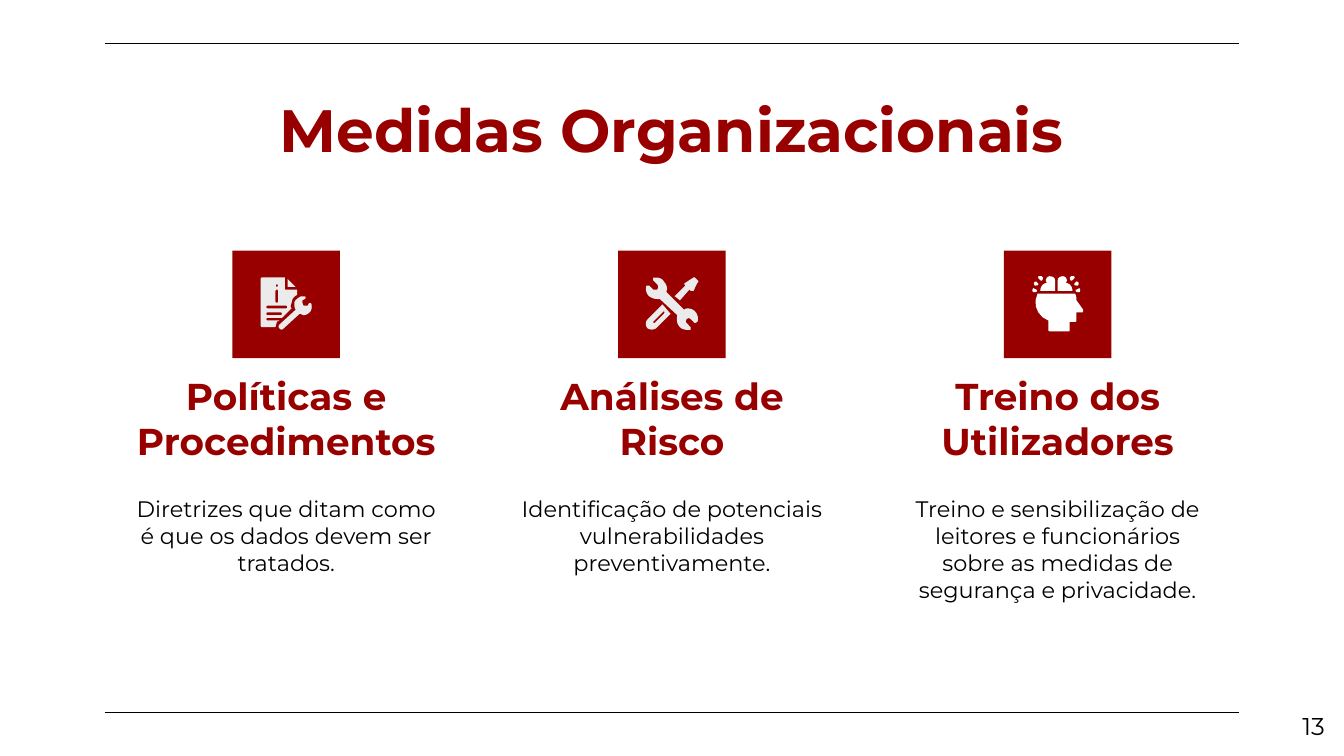
"""Builds the slide on organisational measures: a title and three icon columns."""
from pptx import Presentation
from pptx.dml.color import RGBColor
from pptx.enum.shapes import MSO_CONNECTOR, MSO_SHAPE
from pptx.enum.text import MSO_ANCHOR, PP_ALIGN
from pptx.oxml.ns import qn
from pptx.util import Pt

PX = 4572
INSET = 20 * PX
FONT = "Montserrat"
RED = RGBColor(0x98, 0x00, 0x00)
BLACK = RGBColor(0x00, 0x00, 0x00)
WHITE = RGBColor(0xFF, 0xFF, 0xFF)
PALE = RGBColor(0xEB, 0xEB, 0xEB)

TILE = 160
ICON_UNIT = 2
CURVE_STEPS = 5
COLUMN_WIDTH, COLUMN_PITCH = 504, 574

DOCUMENT_AND_WRENCH = [
    "M 52 34 L 51 34 C 49 35 46 37 46 39 C 46 41 46 42 47 44 L 35 55 C 34 56 34 57 35 58 "
    "C 36 59 37 59 38 58 L 50 47 C 51 47 52 48 53 48 L 54 48 C 57 47 59 45 59 42 "
    "C 59 41 59 39 58 39 L 57 39 L 56 41 C 55 41 54 41 53 41 C 52 40 52 38 52 37 "
    "L 54 36 C 54 36 55 35 54 34 C 53 34 53 34 52 34",
    "M 41 21 L 41 27 L 47 27",
    "M 33 25 C 34 25 34 27 33 27 C 32 27 32 25 33 25 "
    "M 33 29 C 34 29 34 30 34 31 L 34 38 C 34 39 32 39 32 38 L 32 31 C 32 30 32 29 33 29 "
    "M 40 41 C 41 41 41 43 40 43 L 26 43 C 25 43 25 41 26 41 "
    "M 36 46 C 37 46 37 48 36 48 L 26 48 C 25 48 25 46 26 46 "
    "M 22 20 C 21 20 21 21 21 21 L 21 55 C 21 56 21 57 22 57 L 32 57 C 32 56 33 54 33 53 "
    "L 35 52 L 26 52 C 25 52 25 50 26 50 L 37 50 L 44 43 C 43 42 43 41 44 39 "
    "C 44 36 46 34 48 33 L 48 29 L 40 29 C 39 29 39 29 39 28 L 39 20",
]
CROSSED_TOOLS = [
    "M 28 20 L 26 20 L 26 22 L 29 25 C 30 26 30 28 29 29 C 28 29 27 29 26 29 L 23 26 L 21 26 "
    "C 20 29 21 32 23 34 C 25 35 26 36 29 36 L 31 36 L 44 48 C 43 52 44 55 46 57 "
    "C 47 58 49 59 52 59 L 54 59 L 54 57 L 51 54 C 50 53 50 52 51 51 C 52 50 53 50 54 51 "
    "L 57 54 L 59 53 C 60 50 59 47 57 45 C 56 44 54 43 52 43 C 51 43 50 43 49 44 "
    "L 36 31 L 36 30 C 37 28 36 25 34 23 C 33 21 31 20 28 20",
    "M 34 45 C 34 45 35 46 34 47 L 27 54 C 26 54 26 53 26 53 L 33 46 "
    "M 33 40 L 22 51 C 20 53 20 56 22 58 C 24 59 26 59 28 58 L 39 47",
    "M 57 20 L 56 20 L 50 24 C 49 24 49 25 50 26 L 42 34 L 46 37 L 53 29 L 54 30 "
    "C 55 30 55 30 56 30 L 59 24 C 60 23 60 23 59 22",
]
HEAD = [
    "M 25 32 C 21 40 25 49 33 52 L 33 59 C 33 60 34 60 34 60 L 48 60 C 49 60 49 60 49 59 "
    "L 49 53 L 53 53 C 54 53 54 52 54 52 L 54 46 L 58 46 C 59 46 59 45 59 44 L 54 37 "
    "C 54 36 54 34 53 32",
]
HALF_BRAIN = [
    "M 34 19 C 32 19 30 22 32 24 C 29 24 27 27 27 30 L 38 30 L 38 22 C 38 20 36 19 34 19",
    "M 27 19 C 25 19 25 20 26 21 L 27 22 C 28 23 29 22 29 20 L 28 19",
    "M 24 23 C 22 23 22 25 23 26 L 24 26 C 26 26 26 25 25 24",
    "M 22 28 C 21 28 21 31 22 31 L 23 31 C 25 31 25 29 24 29",
]
BRAIN_AXIS = 39

MEASURES = [
    ("Políticas e Procedimentos",
     "Diretrizes que ditam como é que os dados devem ser tratados.",
     DOCUMENT_AND_WRENCH, [], PALE),
    ("Análises de Risco",
     "Identificação de potenciais vulnerabilidades preventivamente.",
     CROSSED_TOOLS, [], PALE),
    ("Treino dos Utilizadores",
     "Treino e sensibilização de leitores e funcionários sobre as medidas de segurança "
     "e privacidade.",
     HEAD + HALF_BRAIN, HALF_BRAIN, WHITE),
]


def add_text(slide, text, box, size, color=BLACK, bold=False,
             align=PP_ALIGN.CENTER, anchor=MSO_ANCHOR.TOP):
    """Place one formatted paragraph in a px box."""
    frame = slide.shapes.add_textbox(*(length * PX for length in box)).text_frame
    frame.word_wrap = True
    frame.vertical_anchor = anchor
    frame.margin_left = frame.margin_right = INSET
    frame.margin_top = frame.margin_bottom = INSET
    paragraph = frame.paragraphs[0]
    paragraph.alignment = align
    run = paragraph.add_run()
    run.text = text
    run.font.name = FONT
    run.font.size = Pt(size)
    run.font.bold = bold
    run.font.color.rgb = color


def add_rule(slide, left, right, y):
    """Draw a thin horizontal rule."""
    rule = slide.shapes.add_connector(
        MSO_CONNECTOR.STRAIGHT, left * PX, y * PX, right * PX, y * PX)
    rule.line.color.rgb = BLACK
    rule.line.width = Pt(0.75)
    properties = rule._element.spPr
    properties.append(properties.makeelement(qn("a:effectLst"), {}))


def paint(shape, color):
    """Give a shape a flat fill without line or shadow."""
    shape.shadow.inherit = False
    shape.fill.solid()
    shape.fill.fore_color.rgb = color
    shape.line.fill.background()


def curve_points(controls):
    """Return points along a cubic curve, leaving out its start."""
    points = []
    for step in range(1, CURVE_STEPS + 1):
        t = step / CURVE_STEPS
        weights = ((1 - t) ** 3, 3 * t * (1 - t) ** 2, 3 * t * t * (1 - t), t ** 3)
        points.append(tuple(sum(w * point[axis] for w, point in zip(weights, controls))
                            for axis in (0, 1)))
    return points


def contours_of(outline):
    """Turn an outline of M, L and C commands into lists of points."""
    contours = []
    tokens = iter(outline.split())
    for command in tokens:
        count = 3 if command == "C" else 1
        points = [(int(next(tokens)), int(next(tokens))) for _ in range(count)]
        if command == "M":
            contours.append(points)
        elif command == "L":
            contours[-1] += points
        else:
            contours[-1] += curve_points([contours[-1][-1]] + points)
    return contours


def add_outline(group, outline, left, top, color, mirrored=False):
    """Draw one icon part, mirrored about the brain axis on request."""
    contours = [[(round((left + ICON_UNIT * (2 * BRAIN_AXIS - x if mirrored else x)) * PX),
                  round((top + ICON_UNIT * y) * PX)) for x, y in contour]
                for contour in contours_of(outline)]
    builder = group.shapes.build_freeform(*contours[0][0])
    for contour in contours:
        builder.move_to(*contour[0])
        builder.add_line_segments(contour[1:], close=True)
    paint(builder.convert_to_shape(), color)


def add_icon(slide, left, top, parts, mirrored_parts, color):
    """Draw a red tile with its icon."""
    tile = slide.shapes.add_shape(
        MSO_SHAPE.RECTANGLE, left * PX, top * PX, TILE * PX, TILE * PX)
    paint(tile, RED)
    icon = slide.shapes.add_group_shape()
    for part in parts:
        add_outline(icon, part, left, top, color)
    for part in mirrored_parts:
        add_outline(icon, part, left, top, color, mirrored=True)


def add_measure(slide, left, top, width, measure):
    """Place the icon, heading and description of one measure."""
    heading, description, parts, mirrored_parts, color = measure
    add_icon(slide, left + (width - TILE) // 2, top, parts, mirrored_parts, color)
    add_text(slide, heading, (left, top + 242, width, 94), 20, color=RED, bold=True,
             anchor=MSO_ANCHOR.BOTTOM)
    add_text(slide, description, (left, top + 344, width, 228), 12)


def main():
    """Build and save the slide."""
    deck = Presentation()
    deck.slide_width, deck.slide_height = 2000 * PX, 1125 * PX
    slide = deck.slides.add_slide(deck.slide_layouts[6])
    for y in (65, 1060):
        add_rule(slide, 156, 1844, y)
    add_text(slide, "Medidas Organizacionais", (156, 118, 1688, 126), 32, color=RED, bold=True)
    for index, measure in enumerate(MEASURES):
        add_measure(slide, 174 + index * COLUMN_PITCH, 373, COLUMN_WIDTH, measure)
    add_text(slide, "13", (1871, 1039, 120, 86), 13, align=PP_ALIGN.RIGHT)
    deck.save("out.pptx")


if __name__ == "__main__":
    main()
